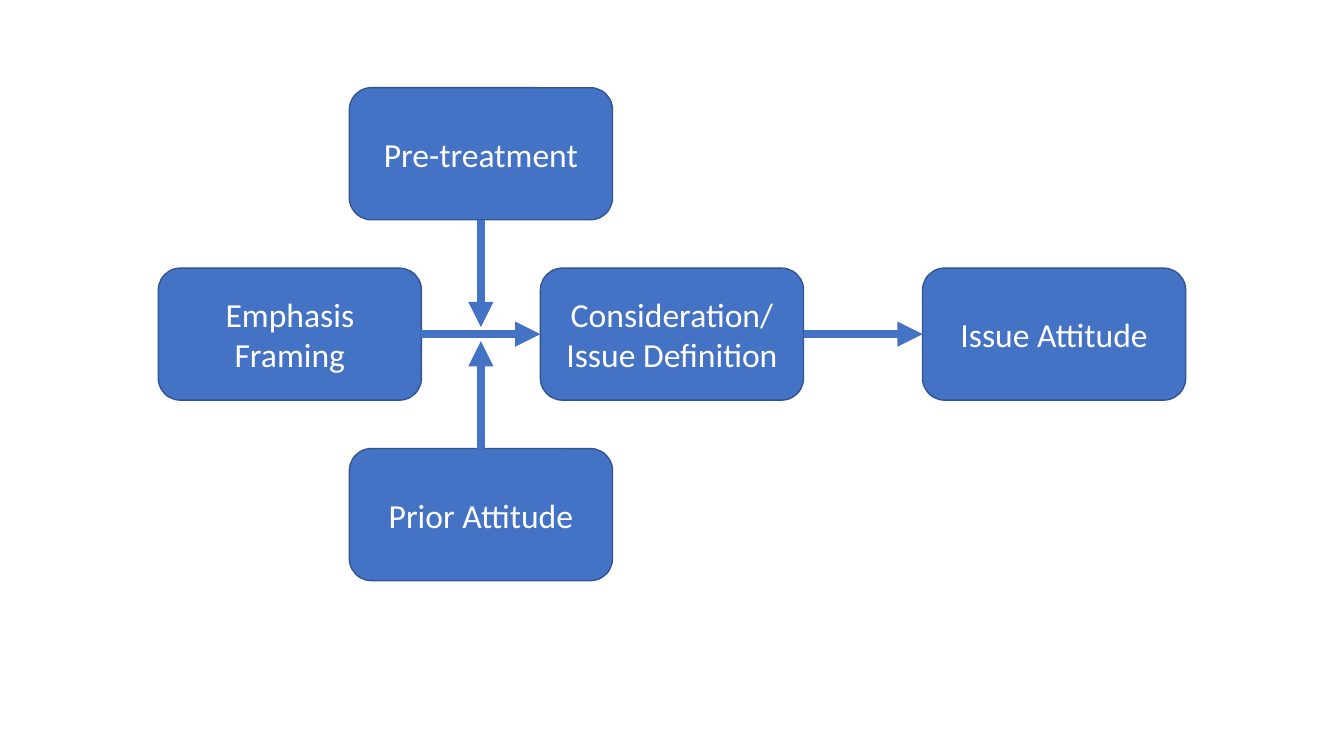
from lxml.etree import SubElement
from pptx import Presentation
from pptx.dml.color import RGBColor
from pptx.enum.shapes import MSO_CONNECTOR, MSO_SHAPE
from pptx.enum.text import MSO_ANCHOR, PP_ALIGN
from pptx.oxml.ns import qn
from pptx.util import Inches, Pt

COLORS = {"box": "4472C4", "edge": "325491", "text": "FFFFFF"}
WIDE, HIGH = 2.61, 1.31  # node size
STEP, RISE = 3.79, 1.79  # node spacing across and down
GAP = 0.07  # space between a vertical arrow tip and the main arrow
TOP, LEFT, BOTTOM, RIGHT = range(4)


def color(name):
    return RGBColor.from_string(COLORS[name])


def write(frame, text, size=24, font="Calibri", fill="text", align=PP_ALIGN.CENTER):
    frame.word_wrap = True
    frame.vertical_anchor = MSO_ANCHOR.MIDDLE
    frame.text = text
    for para in frame.paragraphs:
        para.alignment = align
        para.font.size = Pt(size)
        para.font.name = font
        para.font.color.rgb = color(fill)


def node(slide, text, left, top):
    box = slide.shapes.add_shape(MSO_SHAPE.ROUNDED_RECTANGLE, Inches(left),
                                 Inches(top), Inches(WIDE), Inches(HIGH))
    box.shadow.inherit = False
    box.fill.solid()
    box.fill.fore_color.rgb = color("box")
    box.line.color.rgb = color("edge")
    box.line.width = Pt(1)
    write(box.text_frame, text)
    return box


def arrow(slide, start, end):
    line = slide.shapes.add_connector(MSO_CONNECTOR.STRAIGHT,
                                      *map(Inches, start + end))
    line.line.color.rgb = color("box")
    line.line.width = Pt(6)
    SubElement(line.line._get_or_add_ln(), qn("a:tailEnd"), type="triangle")
    SubElement(line._element.spPr, qn("a:effectLst"))
    return line


def chain(slide, left, top):
    """Main row: nodes joined from left to right."""
    labels = ["Emphasis Framing", "Consideration/\nIssue Definition", "Issue Attitude"]
    nodes = [node(slide, text, left + i * STEP, top) for i, text in enumerate(labels)]
    mid = top + HIGH / 2
    for i, (first, second) in enumerate(zip(nodes, nodes[1:])):
        x = left + i * STEP
        link = arrow(slide, (x + WIDE, mid), (x + STEP, mid))
        link.begin_connect(first, RIGHT)
        link.end_connect(second, LEFT)


def factors(slide, left, top):
    """Nodes above and below that point at the first main arrow."""
    x = left + STEP / 2
    mid = top + HIGH / 2
    for text, side, site in [("Prior Attitude", 1, TOP), ("Pre-treatment", -1, BOTTOM)]:
        box = node(slide, text, x, top + side * RISE)
        edge = mid + side * (RISE - HIGH / 2)
        link = arrow(slide, (x + WIDE / 2, edge), (x + WIDE / 2, mid + side * GAP))
        link.begin_connect(box, site)


def main():
    deck = Presentation()
    deck.slide_width, deck.slide_height = Inches(13.33), Inches(7.5)
    slide = deck.slides.add_slide(deck.slide_layouts[6])
    chain(slide, 1.57, 2.66)
    factors(slide, 1.57, 2.66)
    deck.save("out.pptx")


if __name__ == "__main__":
    main()
